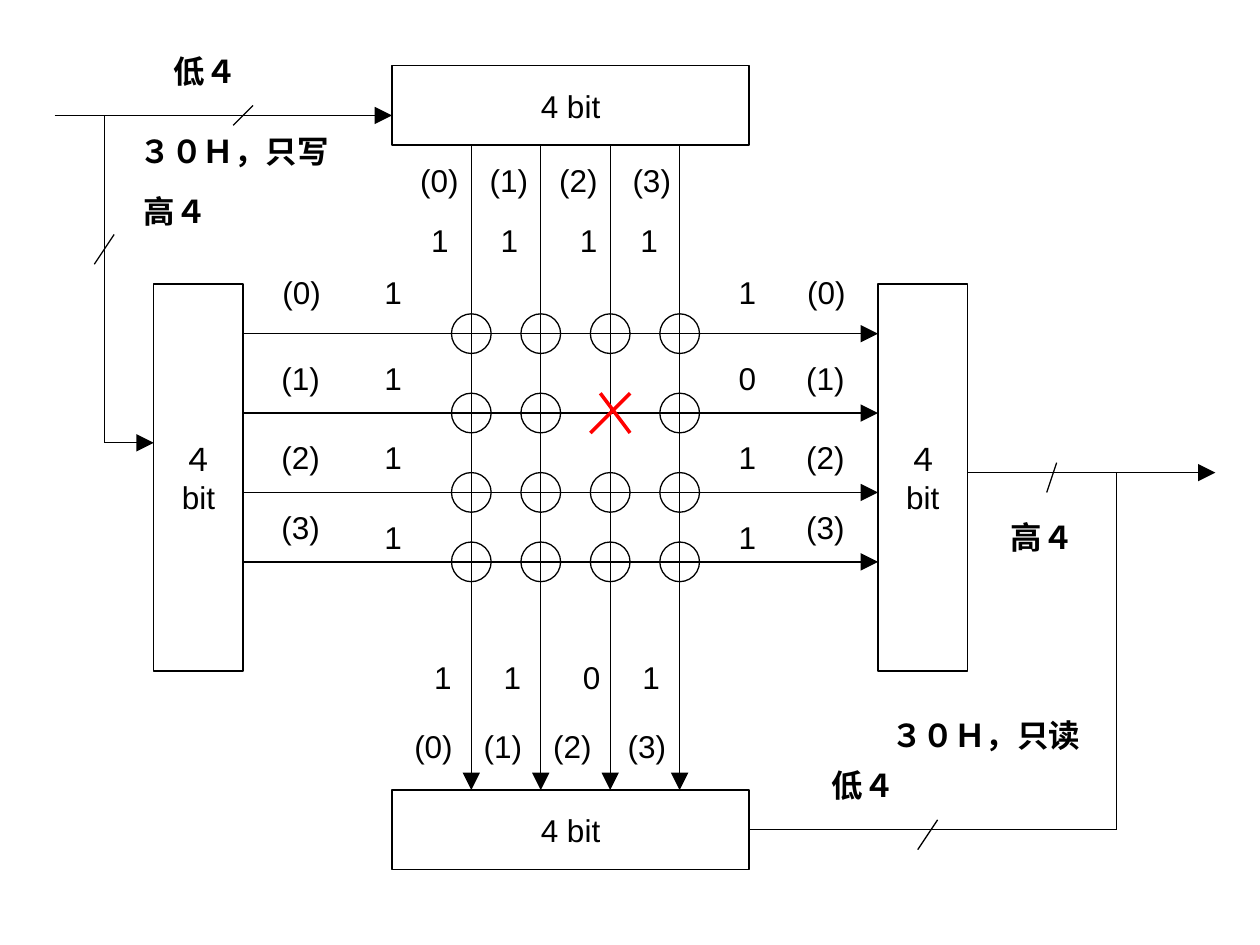
from typing import NamedTuple

from lxml.etree import SubElement
from pptx import Presentation
from pptx.dml.color import RGBColor
from pptx.enum.shapes import MSO_CONNECTOR, MSO_SHAPE
from pptx.enum.text import MSO_ANCHOR, MSO_AUTO_SIZE, PP_ALIGN
from pptx.oxml.ns import qn
from pptx.shapes.autoshape import Shape
from pptx.slide import Slide
from pptx.text.text import TextFrame
from pptx.util import Inches, Length, Mm, Pt

COLORS = {"ink": "000000", "cross": "FF0000"}
FONT = "Arial"
FONT_SIZE = Pt(18)

# The drawing sits on a 2 mm grid; all lengths below are grid steps.
STEP = Mm(2)
ORIGIN_X, ORIGIN_Y = Inches(0.04), Inches(0.05)

WIRE_COLUMNS = (47, 54, 61, 68)
WIRE_ROWS = (33, 41, 49, 56)
PRESSED_KEY = (61, 41)
KEY_SIZE = 4
LABEL_HEIGHT = 5.1
INDEXES = ("(0)", "(1)", "(2)", "(3)")


class Register(NamedTuple):
    text: str
    left: float
    top: float
    width: float
    height: float

    @property
    def right(self) -> float:
        return self.left + self.width

    @property
    def bottom(self) -> float:
        return self.top + self.height


class Wire(NamedTuple):
    x1: float
    y1: float
    x2: float
    y2: float
    arrow: bool = False
    color: str = "ink"
    weight: float = 0.75


class Label(NamedTuple):
    text: str
    left: float
    top: float
    width: float
    bold: bool = False


class LabelStrip(NamedTuple):
    texts: tuple[str, ...]
    lefts: tuple[float, ...]
    tops: tuple[float, ...]
    width: float


ROW_OUT = Register("４\nbit", 15, 28, 9, 39)
ROW_IN = Register("４\nbit", 88, 28, 9, 39)
COLUMN_OUT = Register("4 bit", 39, 6, 36, 8)
COLUMN_IN = Register("4 bit", 39, 79, 36, 8)

CROSS = (
    Wire(60, 39, 63, 43, color="cross", weight=2),
    Wire(63, 39, 59, 43, color="cross", weight=2),
)
WRITE_BUS = (
    Wire(5, 11, COLUMN_OUT.left, 11, arrow=True),
    Wire(10, 11, 10, 44),
    Wire(10, 44, ROW_OUT.left, 44, arrow=True),
    Wire(25, 10, 23, 12),
    Wire(11, 23, 9, 26),
)
READ_BUS = (
    Wire(COLUMN_IN.right, 83, 112, 83),
    Wire(112, 83, 112, 47),
    Wire(ROW_IN.right, 47, 122, 47, arrow=True),
    Wire(106, 46, 105, 49),
    Wire(94, 82, 92, 85),
)
BUS_LABELS = (
    Label("高４", 12.75, 18.1, 8.9, True),
    Label("低４", 15.75, 4, 8.9, True),
    Label("３０Ｈ，只写", 12.35, 12, 21.6, True),
    Label("低４", 82.1, 76, 8.9, True),
    Label("高４", 100.1, 51, 8.9, True),
    Label("３０Ｈ，只读", 88.1, 70.9, 21.6, True),
)

INDEX_WIDTH, VALUE_WIDTH = 6.6, 4.3
INDEX_TOPS = (26.3, 34.9, 42.9, 49.9)
VALUE_TOPS = (26.3, 34.9, 42.9, 51)
STRIPS = (
    LabelStrip(INDEXES, (26.7, 26.6, 26.6, 26.6), INDEX_TOPS, INDEX_WIDTH),
    LabelStrip(tuple("1111"), (37,) * 4, VALUE_TOPS, VALUE_WIDTH),
    LabelStrip(tuple("1011"), (72.7,) * 4, VALUE_TOPS, VALUE_WIDTH),
    LabelStrip(INDEXES, (79.6, 79.5, 79.5, 79.5), INDEX_TOPS, INDEX_WIDTH),
    LabelStrip(INDEXES, (40.6, 47.6, 54.6, 62), (15,) * 4, INDEX_WIDTH),
    LabelStrip(tuple("1111"), (41.7, 48.7, 56.7, 62.8), (21,) * 4, VALUE_WIDTH),
    LabelStrip(tuple("1101"), (42, 49, 57, 63), (65.1,) * 4, VALUE_WIDTH),
    LabelStrip(INDEXES, (40, 47, 54, 61.5), (72,) * 4, INDEX_WIDTH),
)


def span(steps: float) -> Length:
    return Length(round(steps * STEP))


def grid_x(column: float) -> Length:
    return Length(ORIGIN_X + span(column))


def grid_y(row: float) -> Length:
    return Length(ORIGIN_Y + span(row))


def write(frame: TextFrame, text: str, alignment: PP_ALIGN, bold: bool = False) -> None:
    frame.word_wrap = False
    frame.text = text
    for paragraph in frame.paragraphs:
        paragraph.alignment = alignment
        paragraph.font.name = FONT
        paragraph.font.size = FONT_SIZE
        paragraph.font.bold = bold
        paragraph.font.color.rgb = RGBColor.from_string(COLORS["ink"])


def draw_outline(slide: Slide, kind: MSO_SHAPE, left: float, top: float,
                 width: float, height: float) -> Shape:
    shape = slide.shapes.add_shape(kind, grid_x(left), grid_y(top), span(width), span(height))
    shape.shadow.inherit = False
    shape.fill.background()
    shape.line.color.rgb = RGBColor.from_string(COLORS["ink"])
    shape.line.width = Pt(0.75)
    return shape


def draw_register(slide: Slide, register: Register) -> None:
    shape = draw_outline(slide, MSO_SHAPE.RECTANGLE, *register[1:])
    shape.text_frame.vertical_anchor = MSO_ANCHOR.MIDDLE
    write(shape.text_frame, register.text, PP_ALIGN.CENTER)


def draw_wire(slide: Slide, wire: Wire) -> None:
    connector = slide.shapes.add_connector(
        MSO_CONNECTOR.STRAIGHT, grid_x(wire.x1), grid_y(wire.y1), grid_x(wire.x2), grid_y(wire.y2))
    connector.line.color.rgb = RGBColor.from_string(COLORS[wire.color])
    connector.line.width = Pt(wire.weight)
    properties = connector._element.spPr
    if wire.arrow:
        SubElement(properties.find(qn("a:ln")), qn("a:tailEnd"),
                   type="triangle", w="lg", len="lg")
    SubElement(properties, qn("a:effectLst"))


def draw_label(slide: Slide, label: Label) -> None:
    box = slide.shapes.add_textbox(
        grid_x(label.left), grid_y(label.top), span(label.width), span(LABEL_HEIGHT))
    box.text_frame.auto_size = MSO_AUTO_SIZE.SHAPE_TO_FIT_TEXT
    write(box.text_frame, label.text, PP_ALIGN.LEFT, label.bold)


def draw_key_matrix(slide: Slide) -> None:
    for row in WIRE_ROWS:
        draw_wire(slide, Wire(ROW_OUT.right, row, ROW_IN.left, row, arrow=True))
    for column in WIRE_COLUMNS:
        draw_wire(slide, Wire(column, COLUMN_OUT.bottom, column, COLUMN_IN.top, arrow=True))
    for row in WIRE_ROWS:
        for column in WIRE_COLUMNS:
            if (column, row) != PRESSED_KEY:
                draw_outline(slide, MSO_SHAPE.OVAL, column - KEY_SIZE / 2,
                             row - KEY_SIZE / 2, KEY_SIZE, KEY_SIZE)


def main() -> None:
    presentation = Presentation()
    presentation.slide_width, presentation.slide_height = Inches(10), Inches(7.5)
    slide = presentation.slides.add_slide(presentation.slide_layouts[6])
    for register in (ROW_OUT, ROW_IN, COLUMN_OUT, COLUMN_IN):
        draw_register(slide, register)
    draw_key_matrix(slide)
    for wire in CROSS + WRITE_BUS + READ_BUS:
        draw_wire(slide, wire)
    for strip in STRIPS:
        for text, left, top in zip(strip.texts, strip.lefts, strip.tops):
            draw_label(slide, Label(text, left, top, strip.width))
    for label in BUS_LABELS:
        draw_label(slide, label)
    presentation.save("out.pptx")


if __name__ == "__main__":
    main()
